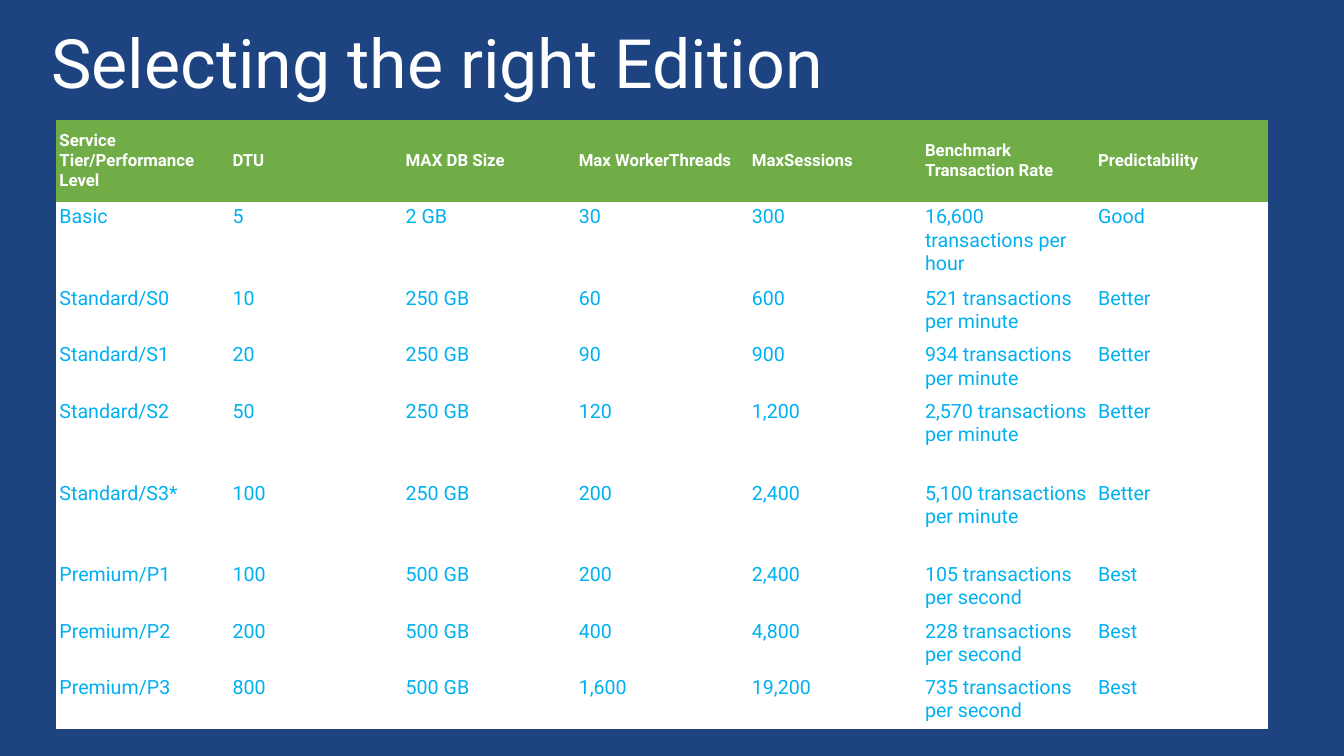
"""Build a slide that compares database service tiers in a table."""
from pptx import Presentation
from pptx.dml.color import RGBColor
from pptx.enum.text import MSO_ANCHOR, PP_ALIGN
from pptx.util import Inches, Pt

FONT = "Roboto"
NAVY = RGBColor(0x1D, 0x43, 0x80)
GREEN = RGBColor(0x70, 0xAD, 0x47)
SKY = RGBColor(0x00, 0xB0, 0xF0)
WHITE = RGBColor(0xFF, 0xFF, 0xFF)
PLAIN_TABLE_STYLE = "{2D5ABB26-0587-4C30-8999-92F81FD0307C}"

COLUMN_WIDTH = 1.717
TALL_ROW, SHORT_ROW = 0.81, 0.56
TALL_TIERS = {"Basic", "Standard/S2", "Standard/S3*"}

HEADINGS = (
    "Service Tier/Performance Level", "DTU", "MAX DB Size", "Max WorkerThreads",
    "MaxSessions", "Benchmark Transaction Rate", "Predictability",
)
TIERS = (
    ("Basic", "5", "2 GB", "30", "300", "16,600 transactions per hour", "Good"),
    ("Standard/S0", "10", "250 GB", "60", "600", "521 transactions per minute", "Better"),
    ("Standard/S1", "20", "250 GB", "90", "900", "934 transactions per minute", "Better"),
    ("Standard/S2", "50", "250 GB", "120", "1,200", "2,570 transactions per minute", "Better"),
    ("Standard/S3*", "100", "250 GB", "200", "2,400", "5,100 transactions per minute", "Better"),
    ("Premium/P1", "100", "500 GB", "200", "2,400", "105 transactions per second", "Best"),
    ("Premium/P2", "200", "500 GB", "400", "4,800", "228 transactions per second", "Best"),
    ("Premium/P3", "800", "500 GB", "1,600", "19,200", "735 transactions per second", "Best"),
)


def add_run(paragraph, text, size, color, bold=False):
    """Append one formatted run to a paragraph."""
    run = paragraph.add_run()
    run.text = text
    run.font.name = FONT
    run.font.size = Pt(size)
    run.font.bold = bold
    run.font.color.rgb = color


def set_title(slide, text):
    """Place and format the title placeholder."""
    title = slide.shapes.title
    title.left, title.top = Inches(0.41), Inches(0.25)
    title.width, title.height = Inches(11.79), Inches(0.82)
    frame = title.text_frame
    frame.word_wrap = True
    frame.vertical_anchor = MSO_ANCHOR.MIDDLE
    paragraph = frame.paragraphs[0]
    paragraph.alignment = PP_ALIGN.LEFT
    paragraph.line_spacing = 0.9
    add_run(paragraph, text, 48.6, WHITE)


def fill_row(row, values, fill, anchor, size, color, bold=False):
    """Write the values of one table row in a common format."""
    for cell, value in zip(row.cells, values):
        cell.fill.solid()
        cell.fill.fore_color.rgb = fill
        cell.vertical_anchor = anchor
        cell.margin_left = cell.margin_right = Inches(0.03)
        cell.margin_top = cell.margin_bottom = Inches(0.04)
        add_run(cell.text_frame.paragraphs[0], value, size, color, bold)


def add_tier_table(slide):
    """Add the table of tiers below the title."""
    heights = [TALL_ROW] + [
        TALL_ROW if tier[0] in TALL_TIERS else SHORT_ROW for tier in TIERS
    ]
    frame = slide.shapes.add_table(
        len(heights), len(HEADINGS), Inches(0.56), Inches(1.19),
        Inches(COLUMN_WIDTH * len(HEADINGS)), Inches(sum(heights)),
    )
    table = frame.table
    table.horz_banding = False
    table._tbl.tblPr.find("{*}tableStyleId").text = PLAIN_TABLE_STYLE
    for column in table.columns:
        column.width = Inches(COLUMN_WIDTH)
    for row, height in zip(table.rows, heights):
        row.height = Inches(height)
    header, *tier_rows = table.rows
    fill_row(header, HEADINGS, GREEN, MSO_ANCHOR.MIDDLE, 12, WHITE, bold=True)
    for row, tier in zip(tier_rows, TIERS):
        fill_row(row, tier, WHITE, MSO_ANCHOR.TOP, 14, SKY)


def main():
    """Create and save the presentation."""
    presentation = Presentation()
    presentation.slide_width = Inches(13.33)
    presentation.slide_height = Inches(7.5)
    slide = presentation.slides.add_slide(presentation.slide_layouts[5])
    slide.background.fill.solid()
    slide.background.fill.fore_color.rgb = NAVY
    set_title(slide, "Selecting the right Edition")
    add_tier_table(slide)
    presentation.save("out.pptx")


if __name__ == "__main__":
    main()
